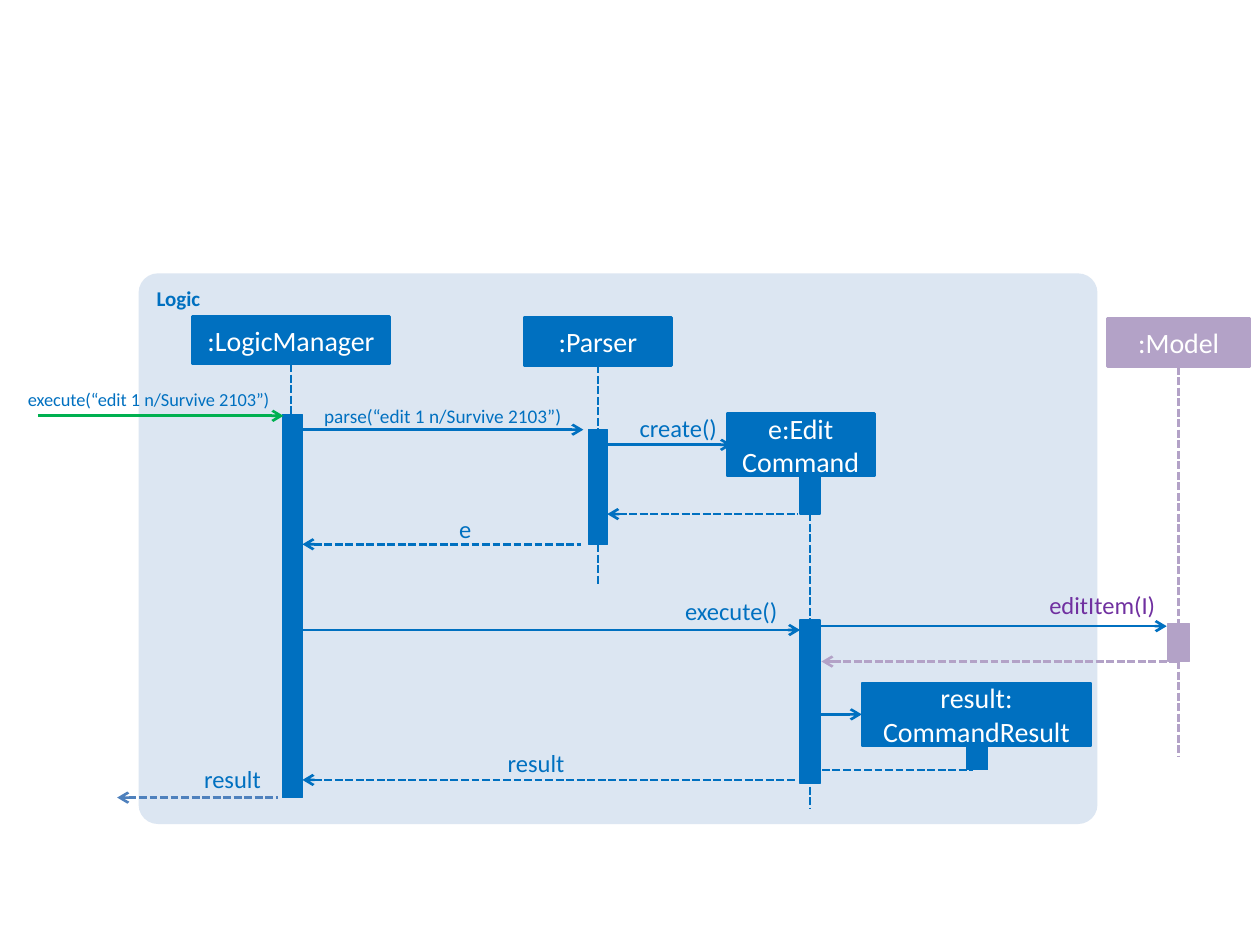
from dataclasses import dataclass
from typing import Optional

from lxml.etree import SubElement
from pptx import Presentation
from pptx.dml.color import RGBColor
from pptx.enum.dml import MSO_LINE_DASH_STYLE as Dash
from pptx.enum.shapes import MSO_CONNECTOR as Connector, MSO_SHAPE as Shape
from pptx.enum.text import MSO_ANCHOR as Anchor, MSO_AUTO_SIZE as AutoSize, PP_ALIGN as Align
from pptx.oxml.ns import qn
from pptx.util import Inches, Pt

COLORS = {
    "panel": "DCE6F2", "logic": "0070C0", "call": "00B050", "reply": "4F81BD",
    "model": "B3A2C7", "edit": "7030A0", "white": "FFFFFF",
}
FONT = "Calibri"
BOTTOM, LEFT = 2, 1  # connection sites of a rectangle


@dataclass
class Box:
    left: float
    top: float
    width: float
    height: float
    text: str = ""
    color: str = "logic"


@dataclass
class Lifeline:
    x: float
    top: float
    bottom: float
    color: str = "logic"
    head: Optional[str] = None


@dataclass
class Message:
    """A horizontal arrow; replies are dashed and point left."""
    left: float
    right: float
    y: float
    color: str = "logic"
    reply: bool = False
    target: Optional[str] = None


@dataclass
class Label:
    left: float
    top: float
    width: float
    text: str
    size: float = 14
    align: Align = Align.RIGHT
    color: str = "logic"


HEADS = [
    Box(1.53, 2.51, 1.56, 0.38, ":LogicManager"),
    Box(4.16, 2.52, 1.17, 0.38, ":Parser"),
    Box(5.77, 3.28, 1.17, 0.5, "e:Edit\vCommand"),
    Box(8.79, 2.53, 1.13, 0.38, ":Model", "model"),
    Box(6.84, 5.42, 1.82, 0.5, "result:\vCommandResult"),
]
LIFELINES = [
    Lifeline(2.31, 2.89, 5.75, head=":LogicManager"),
    Lifeline(4.745, 2.9, 4.65, head=":Parser"),
    Lifeline(6.43, 3.74, 6.42),
    Lifeline(9.355, 2.91, 6, "model", ":Model"),
]
ACTIVATIONS = [
    Box(2.24, 3.29, 0.16, 3.04),
    Box(4.67, 3.41, 0.15, 0.91),
    Box(6.35, 3.78, 0.16, 0.3),
    Box(6.35, 4.92, 0.16, 1.3),
    Box(9.27, 4.95, 0.17, 0.3, color="model"),
    Box(7.67, 5.92, 0.17, 0.19),
]
MESSAGES = [
    Message(0.3, 2.25, 3.3, "call"),
    Message(2.4, 4.63, 3.41),
    Message(4.82, 5.81, 3.53),
    Message(4.82, 6.33, 4.08, reply=True),
    Message(2.4, 4.61, 4.32, reply=True),
    Message(2.4, 6.35, 5),
    Message(6.52, 9.26, 4.97),
    Message(6.52, 9.35, 5.25, "model", reply=True),
    Message(6.52, 6.84, 5.67, target="result:\vCommandResult"),
    Message(6.35, 7.72, 6.11, reply=True),
    Message(2.4, 6.32, 6.19, reply=True),
    Message(0.93, 2.21, 6.33, "reply", reply=True),
]
LABELS = [
    Label(0.17, 3.08, 2.02, "execute(“edit 1 n/Survive 2103”)", 10.5, Align.CENTER),
    Label(2.5, 3.21, 2.03, "parse(“edit 1 n/Survive 2103”)", 11, Align.CENTER),
    Label(5, 3.28, 0.69, "create()"),
    Label(3.5, 4.08, 0.24, "e"),
    Label(5.25, 4.73, 0.92, "execute()"),
    Label(7.61, 4.68, 1.56, "editItem(I)", color="edit"),
    Label(3.81, 5.94, 0.67, "result"),
    Label(1.25, 6.06, 0.82, "result"),
]


def rgb(name: str) -> RGBColor:
    return RGBColor.from_string(COLORS[name])


def write(frame, text: str, size: float, color: str, align: Align, bold: bool = False) -> None:
    frame.text = text
    frame.word_wrap = True
    para = frame.paragraphs[0]
    para.alignment = align
    for span in para.runs:
        span.font.name = FONT
        span.font.size = Pt(size)
        span.font.bold = bold
        span.font.color.rgb = rgb(color)
    for line_break in para._p.findall(qn("a:br")):
        SubElement(line_break, qn("a:rPr"), sz=str(int(size * 100)))


def add_box(page, box: Box, line_width: float = 0, kind: Shape = Shape.RECTANGLE):
    shape = page.shapes.add_shape(
        kind, Inches(box.left), Inches(box.top), Inches(box.width), Inches(box.height))
    shape.shadow.inherit = False
    shape.fill.solid()
    shape.fill.fore_color.rgb = rgb(box.color)
    if line_width:
        shape.line.color.rgb = rgb(box.color)
        shape.line.width = Pt(line_width)
    else:
        shape.line.fill.background()
    return shape


def add_head(page, box: Box):
    shape = add_box(page, box, 1.5)
    shape.text_frame.vertical_anchor = Anchor.MIDDLE
    write(shape.text_frame, box.text, 16, "white", Align.CENTER)
    return shape


def add_line(page, x1: float, y1: float, x2: float, y2: float, color: str, dashed: bool):
    line = page.shapes.add_connector(
        Connector.STRAIGHT, Inches(x1), Inches(y1), Inches(x2), Inches(y2))
    line.line.color.rgb = rgb(color)
    line.line.width = Pt(1.5)
    if dashed:
        line.line.dash_style = Dash.SQUARE_DOT
    SubElement(line._element.spPr, qn("a:effectLst"))
    return line


def add_lifeline(page, life: Lifeline, heads: dict) -> None:
    line = add_line(page, life.x, life.top, life.x, life.bottom, life.color, True)
    if life.head:
        line.begin_connect(heads[life.head], BOTTOM)


def add_message(page, message: Message, heads: dict) -> None:
    line = add_line(page, message.left, message.y, message.right, message.y,
                    message.color, message.reply)
    end = "a:headEnd" if message.reply else "a:tailEnd"
    SubElement(line.line._get_or_add_ln(), qn(end), type="arrow")
    if message.target:
        line.end_connect(heads[message.target], LEFT)


def add_label(page, label: Label) -> None:
    height = label.size * 1.22 / 72
    box = page.shapes.add_textbox(
        Inches(label.left), Inches(label.top), Inches(label.width), Inches(height))
    frame = box.text_frame
    frame.margin_left = frame.margin_right = frame.margin_top = frame.margin_bottom = 0
    frame.auto_size = AutoSize.SHAPE_TO_FIT_TEXT
    write(frame, label.text, label.size, label.color, label.align)


def main() -> None:
    deck = Presentation()
    deck.slide_width, deck.slide_height = Inches(10), Inches(7.5)
    page = deck.slides.add_slide(deck.slide_layouts[6])

    # Logic component
    panel = add_box(page, Box(1.1, 2.17, 7.61, 4.37, color="panel"), kind=Shape.ROUNDED_RECTANGLE)
    panel.adjustments[0] = 0.035
    panel.text_frame.vertical_anchor = Anchor.TOP
    write(panel.text_frame, "Logic", 12, "logic", Align.LEFT, bold=True)

    # Participants, their lifelines and activation bars
    heads = {box.text: add_head(page, box) for box in HEADS}
    for life in LIFELINES:
        add_lifeline(page, life, heads)
    for bar in ACTIVATIONS:
        add_box(page, bar, 0.75)

    # Messages and their labels
    for message in MESSAGES:
        add_message(page, message, heads)
    for label in LABELS:
        add_label(page, label)

    deck.save("out.pptx")


if __name__ == "__main__":
    main()
